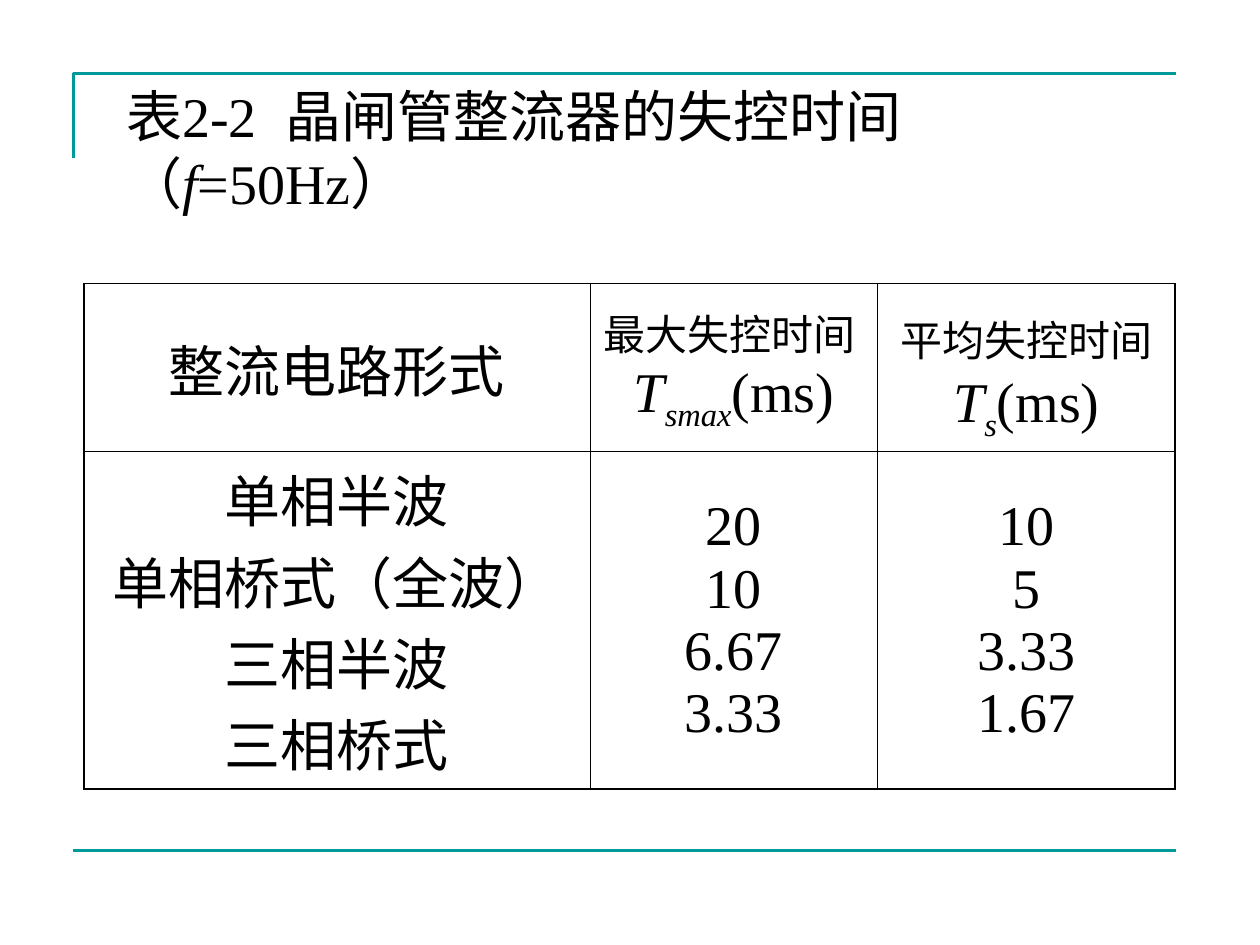
import pptx
import pptx.util
import pptx.dml.color
import pptx.enum.shapes
import pptx.enum.text
import pptx.oxml.ns
from lxml import etree
from pptx.util import Cm

FONT = "Times New Roman"
TEAL, BLACK = "009999", "000000"
LEFT, RIGHT = Cm(1.48), Cm(23.7)
BIG, SMALL = 32, 24

# Runs are (text, size, style): "i" is italic, "s" italic subscript
HEAD = [
    [[("整流电路形式", BIG, "")]],
    [[("最大失控时间 ", SMALL, "")],
     [("T", BIG, "i"), ("smax", BIG, "s"), ("(ms)", BIG, "")]],
    [[("平均失控时间", SMALL, ""), (" ", BIG, ""), ("T", BIG, "i"),
      ("s", BIG, "s"), ("(ms)", BIG, "")]],
]
BODY = [
    ["单相半波", "单相桥式（全波）", "三相半波", "三相桥式"],
    ["20", "10", "6.67", "3.33"],
    ["10", "5", "3.33", "1.67"],
]


def color(code):
    return pptx.dml.color.RGBColor.from_string(code)


def add_run(para, text, size, style):
    run = para.add_run()
    run.text = text
    font = run.font
    font.name, font.size = FONT, pptx.util.Pt(size)
    font.bold, font.italic = False, style != ""
    font.color.rgb = color(BLACK)
    if style == "s":
        run._r.get_or_add_rPr().set("baseline", "-25000")


def fill_text(frame, paras, align):
    for i, runs in enumerate(paras):
        para = frame.add_paragraph() if i else frame.paragraphs[0]
        para.alignment = align
        for text, size, style in runs:
            add_run(para, text, size, style)


def set_line(line):
    line.color.rgb = color(TEAL)
    line.width = pptx.util.Pt(1.5)


def add_frame(slide):
    # Corner bracket above, rule below
    top = Cm(1.48)
    pen = slide.shapes.build_freeform(LEFT, Cm(3.18))
    pen.add_line_segments([(LEFT, top), (RIGHT, top)], close=False)
    corner = pen.convert_to_shape()
    corner.shadow.inherit = False
    corner.fill.background()
    set_line(corner.line)

    kind = pptx.enum.shapes.MSO_CONNECTOR.STRAIGHT
    base = Cm(17.15)
    rule = slide.shapes.add_connector(kind, LEFT, base, RIGHT, base)
    set_line(rule.line)
    etree.SubElement(rule._element.spPr, pptx.oxml.ns.qn("a:effectLst"))


def add_title(slide):
    title = slide.shapes.title
    title.left, title.top = Cm(2.29), Cm(1.52)
    title.width, title.height = Cm(20.4), Cm(2.97)
    frame = title.text_frame
    frame.word_wrap = True
    frame.auto_size = pptx.enum.text.MSO_AUTO_SIZE.NONE
    frame.vertical_anchor = pptx.enum.text.MSO_ANCHOR.TOP
    runs = [("表2-2  晶闸管整流器的失控时间（", BIG, ""),
            ("f", BIG, "i"), ("=50Hz）", BIG, "")]
    fill_text(frame, [runs], pptx.enum.text.PP_ALIGN.LEFT)


def add_edges(cell):
    qn = pptx.oxml.ns.qn
    props = cell._tc.get_or_add_tcPr()
    for i, side in enumerate("LRTB"):
        edge = etree.Element(qn("a:ln" + side), w=str(pptx.util.Pt(1)))
        fill = etree.SubElement(edge, qn("a:solidFill"))
        etree.SubElement(fill, qn("a:srgbClr"), val=BLACK)
        props.insert(i, edge)


def add_grid(slide):
    cols, rows = [10.21, 5.79, 6], [3.38, 6.63]
    grid = slide.shapes.add_table(len(rows), len(cols), Cm(1.69), Cm(5.72),
                                  Cm(sum(cols)), Cm(sum(rows))).table
    grid.first_row = grid.horz_banding = False
    for col, width in zip(grid.columns, cols):
        col.width = Cm(width)
    for row, height in zip(grid.rows, rows):
        row.height = Cm(height)
    body = [[[(text, BIG, "")] for text in col] for col in BODY]
    for r, line in enumerate([HEAD, body]):
        for c, paras in enumerate(line):
            cell = grid.cell(r, c)
            cell.vertical_anchor = pptx.enum.text.MSO_ANCHOR.MIDDLE
            cell.fill.background()
            add_edges(cell)
            fill_text(cell.text_frame, paras, pptx.enum.text.PP_ALIGN.CENTER)


def main():
    deck = pptx.Presentation()
    deck.slide_width, deck.slide_height = Cm(25.4), Cm(19.05)
    slide = deck.slides.add_slide(deck.slide_layouts[5])  # title only
    add_frame(slide)
    add_grid(slide)
    add_title(slide)
    deck.save("out.pptx")


if __name__ == "__main__":
    main()
